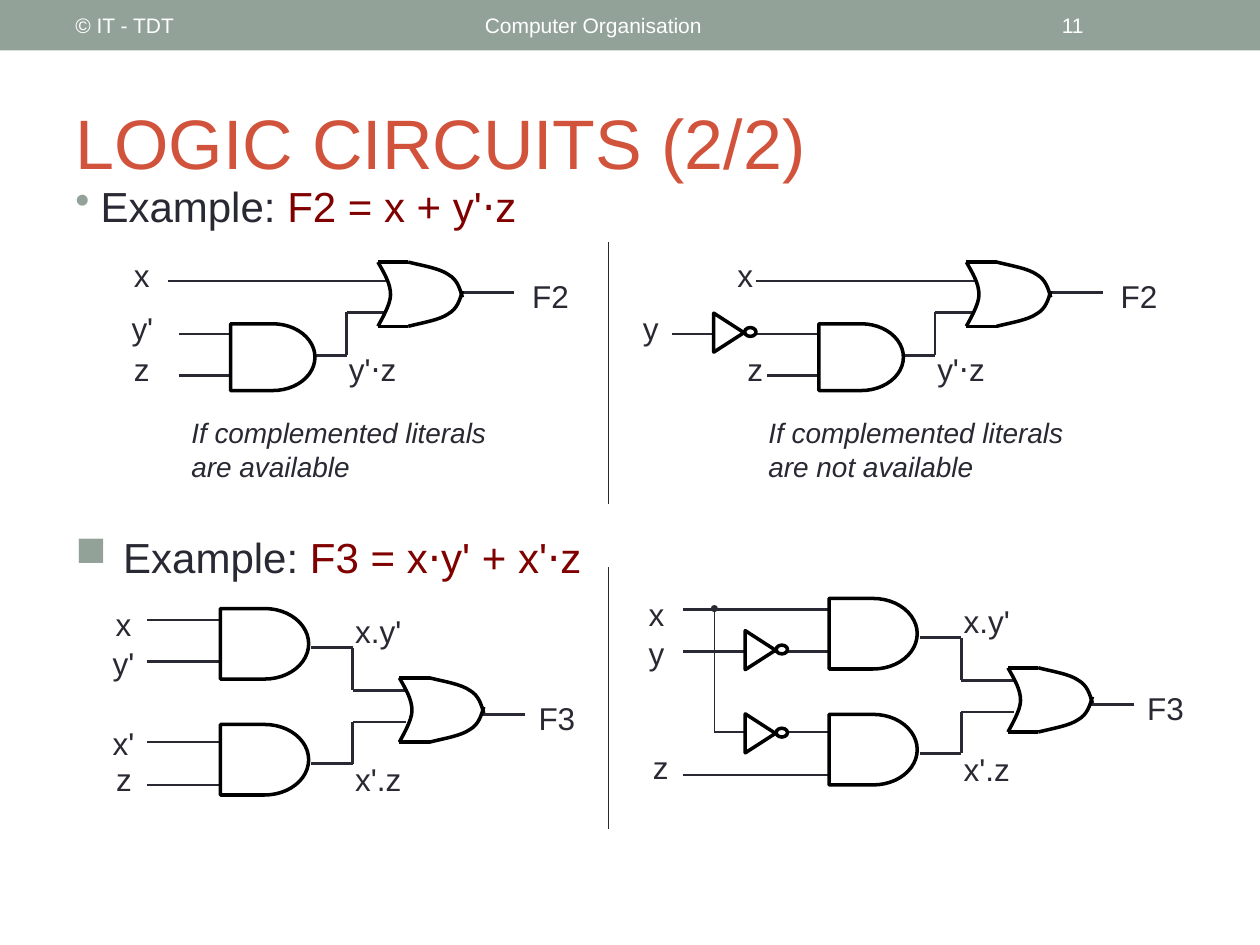
from pptx import Presentation, util as u
from pptx.dml.color import RGBColor
from pptx.enum import shapes, text
from pptx.oxml import ns
from lxml import etree

INK, BLACK, WHITE, SAGE = "292934", "000000", "FFFFFF", "93A299"
RUST, MAROON = "D2533C", "800000"
LABEL_HEIGHT = 0.4


def color(value):
    """Turn a hex string into a colour."""
    return RGBColor.from_string(value)


def add_child(parent, tag, **attributes):
    """Append a drawing element to a parent element."""
    return etree.SubElement(parent, ns.qn(tag), attributes)


def style(shape, fill=None, line=None, width=2):
    """Set the fill and outline of a shape and drop its shadow."""
    shape.shadow.inherit = False
    if fill:
        shape.fill.solid()
        shape.fill.fore_color.rgb = color(fill)
    else:
        shape.fill.background()
    if line:
        shape.line.color.rgb = color(line)
        shape.line.width = u.Pt(width)
    else:
        shape.line.fill.background()


def add_preset(page, kind, left, top, width, height, **look):
    """Add a preset shape."""
    shape = page.shapes.add_shape(kind, *map(u.Inches, (left, top, width, height)))
    style(shape, **look)
    return shape


def add_line(page, start, end, width=1.5, line=INK):
    """Add a straight connector between two points."""
    connector = page.shapes.add_connector(
        shapes.MSO_CONNECTOR.STRAIGHT, *map(u.Inches, (*start, *end)))
    connector.line.color.rgb = color(line)
    connector.line.width = u.Pt(width)
    add_child(connector._element.spPr, "a:effectLst")
    return connector


def add_wire(page, *points):
    """Add a wire that runs through the given points."""
    for start, end in zip(points, points[1:]):
        add_line(page, start, end)


def add_text(page, words, left, top, width, height=LABEL_HEIGHT, size=18,
             ink=INK, centered=False, middle=False, italic=False, grow=False):
    """Add a text box made of one paragraph and return that paragraph."""
    box = page.shapes.add_textbox(*map(u.Inches, (left, top, width, height)))
    frame = box.text_frame
    frame.word_wrap = True
    if grow:
        frame.auto_size = text.MSO_AUTO_SIZE.SHAPE_TO_FIT_TEXT
    if middle:
        frame.vertical_anchor = text.MSO_ANCHOR.MIDDLE
    para = frame.paragraphs[0]
    para.text = words
    para.font.name = "Arial"
    para.font.size = u.Pt(size)
    para.font.color.rgb = color(ink)
    para.font.italic = italic
    if centered:
        para.alignment = text.PP_ALIGN.CENTER
    return para


def add_example(page, formula, top, height, indent, bullet):
    """Add a bulleted example heading with its formula in maroon."""
    para = add_text(page, "Example: ", 0.5, top, 9, height, size=24)
    span = para.add_run()
    span.text = formula
    span.font.color.rgb = color(MAROON)
    properties = para._p.get_or_add_pPr()
    properties.set("marL", str(u.Inches(indent)))
    properties.set("indent", str(-u.Inches(indent)))
    tint, mark = (etree.Element(ns.qn(tag)) for tag in ("a:buClr", "a:buChar"))
    add_child(tint, "a:srgbClr", val=SAGE)
    mark.set("char", bullet)
    properties.insert(0, tint)
    properties.insert(1, mark)


def add_curve(page, left, top, *points):
    """Add an open chain of cubic curves, three points after the start for each."""
    start, *rest = [(u.Inches(left + x), u.Inches(top + y)) for x, y in points]
    builder = page.shapes.build_freeform(*start)
    builder.add_line_segments(rest, close=False)
    shape = builder.convert_to_shape()
    style(shape, line=BLACK)
    outline = shape._element.spPr.find(".//" + ns.qn("a:path"))
    segments = outline.findall(ns.qn("a:lnTo"))
    for first in range(0, len(segments), 3):
        curve = add_child(outline, "a:cubicBezTo")
        for segment in segments[first:first + 3]:
            curve.append(segment[0])
            outline.remove(segment)


def add_or_gate(page, left, top):
    """Add an OR gate."""
    height, shoulder = 0.51, 0.24
    add_curve(page, left, top, (0, 0), (0.05, 0.09), (0.1, 0.17), (0.1, 0.26),
              (0.1, 0.34), (0.02, 0.47), (0, height))
    for y in (top, top + height):
        add_line(page, (left, y), (left + shoulder, y), 2, BLACK)
    nose = [(shoulder, 0), (0.36, 0.03), (0.49, 0.05), (0.56, 0.1),
            (0.63, 0.14), (0.65, 0.21), (0.67, 0.28)]
    add_curve(page, left, top, *nose)
    add_curve(page, left, top, *[(x, height - y) for x, y in nose])


def add_and_gate(page, left, top, width, height):
    """Add an AND gate."""
    add_preset(page, shapes.MSO_SHAPE.FLOWCHART_DELAY, left, top, width, height, line=BLACK)


def add_inverter(page, left, top):
    """Add a NOT gate: a triangle and its bubble."""
    triangle = add_preset(page, shapes.MSO_SHAPE.FLOWCHART_MERGE, left, top, 0.31, 0.24,
                          fill=WHITE, line=BLACK)
    triangle.rotation = 270
    add_preset(page, shapes.MSO_SHAPE.OVAL, left + 0.28, top + 0.08, 0.09, 0.07,
               fill=WHITE, line=BLACK)


def add_inputs(page, *labels):
    """Add the centred input names."""
    for words, left, top, width in labels:
        add_text(page, words, left, top, width, centered=True, grow=True)


def add_f2_circuit(page, dx, y_start, caption, caption_left):
    """Add the grouped circuit for F2, shifted right by dx."""
    group = page.shapes.add_group_shape()
    add_wire(group, (1.33 + dx, 2.23), (3.08 + dx, 2.23))
    add_wire(group, (y_start, 2.65), (1.83 + dx, 2.65))
    add_wire(group, (1.42 + dx, 2.98), (1.83 + dx, 2.98))
    add_wire(group, (2.5 + dx, 2.82), (2.75 + dx, 2.82), (2.75 + dx, 2.48), (3.05 + dx, 2.48))
    add_wire(group, (3.67 + dx, 2.32), (4.08 + dx, 2.32))
    add_and_gate(group, 1.83 + dx, 2.57, 0.67, 0.53)
    add_or_gate(group, 3 + dx, 2.08)
    add_text(group, "y'⋅z", 2.67 + dx, 2.73, 0.58, grow=True)
    add_text(group, "F2", 4.08 + dx, 2.15, 0.58, centered=True, grow=True)
    add_text(group, caption, caption_left, 3.25, 2.75, 0.64, size=16, italic=True, grow=True)
    return group


def add_f3_circuit(page, dx, dy, starts):
    """Add the grouped circuit for F3, shifted by dx and dy, with its input wire starts."""
    group = page.shapes.add_group_shape()
    for start, y in zip(starts, (4.92, 5.25, 5.89, 6.23)):
        add_wire(group, (start, y + dy), (1.75 + dx, y + dy))
    for out, into in ((5.14, 5.48), (6.06, 5.73)):
        add_wire(group, (2.47 + dx, out + dy), (2.8 + dx, out + dy),
                 (2.8 + dx, into + dy), (3.22 + dx, into + dy))
    add_wire(group, (3.83 + dx, 5.67 + dy), (4.17 + dx, 5.67 + dy))
    for top in (4.83, 5.75):
        add_and_gate(group, 1.75 + dx, top + dy, 0.7, 0.56)
    add_or_gate(group, 3.17 + dx, 5.38 + dy)
    for words, top in (("x.y'", 4.81), ("x'.z", 5.98)):
        add_text(group, words, 2.72 + dx, top + dy, 0.62, grow=True)
    add_text(group, "F3", 4.17 + dx, 5.5 + dy, 0.5, centered=True, grow=True)
    return group


def main():
    """Build the slide and save it."""
    deck = Presentation()
    deck.slide_width, deck.slide_height = u.Inches(10), u.Inches(7.5)
    page = deck.slides.add_slide(deck.slide_layouts[6])

    add_preset(page, shapes.MSO_SHAPE.RECTANGLE, 0, 0, 10, 0.4, fill=SAGE)
    for words, left, width in (("© IT - TDT", 0.5, 3.17),
                               ("Computer Organisation", 3.75, 4.5), ("11", 8.33, 1.17)):
        add_text(page, words, left, 0.02, width, 0.36, size=12, ink=WHITE, middle=True)
    add_text(page, "LOGIC CIRCUITS (2/2)", 0.5, 0.58, 9, 1.08, size=40, ink=RUST, middle=True)
    add_example(page, "F2 = x + y'⋅z", 1.38, 0.7, 0.2, "•")
    add_example(page, "F3 = x⋅y' + x'⋅z", 4.17, 0.58, 0.38, "■")
    for top in (1.92, 4.5):
        add_line(page, (4.83, top), (4.83, top + 2.08), 0.75)

    plain = add_f2_circuit(page, 0, 1.42, "If complemented literals are available", 1.42)
    add_inputs(plain, ("x", 0.96, 1.98, 0.33), ("y'", 0.92, 2.4, 0.42), ("z", 0.96, 2.73, 0.33))
    inverted = add_f2_circuit(page, 4.67, 5.33, "If complemented literals are not available", 6)
    add_inputs(inverted, ("x", 5.75, 1.98, 0.33), ("y", 5, 2.4, 0.33), ("z", 5.83, 2.73, 0.33))
    add_inverter(inverted, 5.63, 2.52)

    plain = add_f3_circuit(page, 0, 0, [1.17] * 4)
    add_inputs(plain, ("x", 0.77, 4.75, 0.42), ("y'", 0.77, 5.06, 0.42),
               ("x'", 0.77, 5.7, 0.42), ("z", 0.82, 5.98, 0.33))
    inverted = add_f3_circuit(page, 4.83, -0.08, [5.42, 5.42, 5.67, 5.42])
    add_inputs(inverted, ("x", 5, 4.67, 0.42), ("y", 5, 4.98, 0.42), ("z", 5.08, 5.89, 0.33))
    for top in (5.04, 5.7):
        add_inverter(inverted, 5.88, top)
    branch = add_line(inverted, (5.67, 4.83), (5.67, 5.8), 0.75)
    add_child(branch._element.spPr.find(ns.qn("a:ln")), "a:headEnd",
              type="oval", w="sm", len="sm")

    deck.save("out.pptx")


if __name__ == "__main__":
    main()
